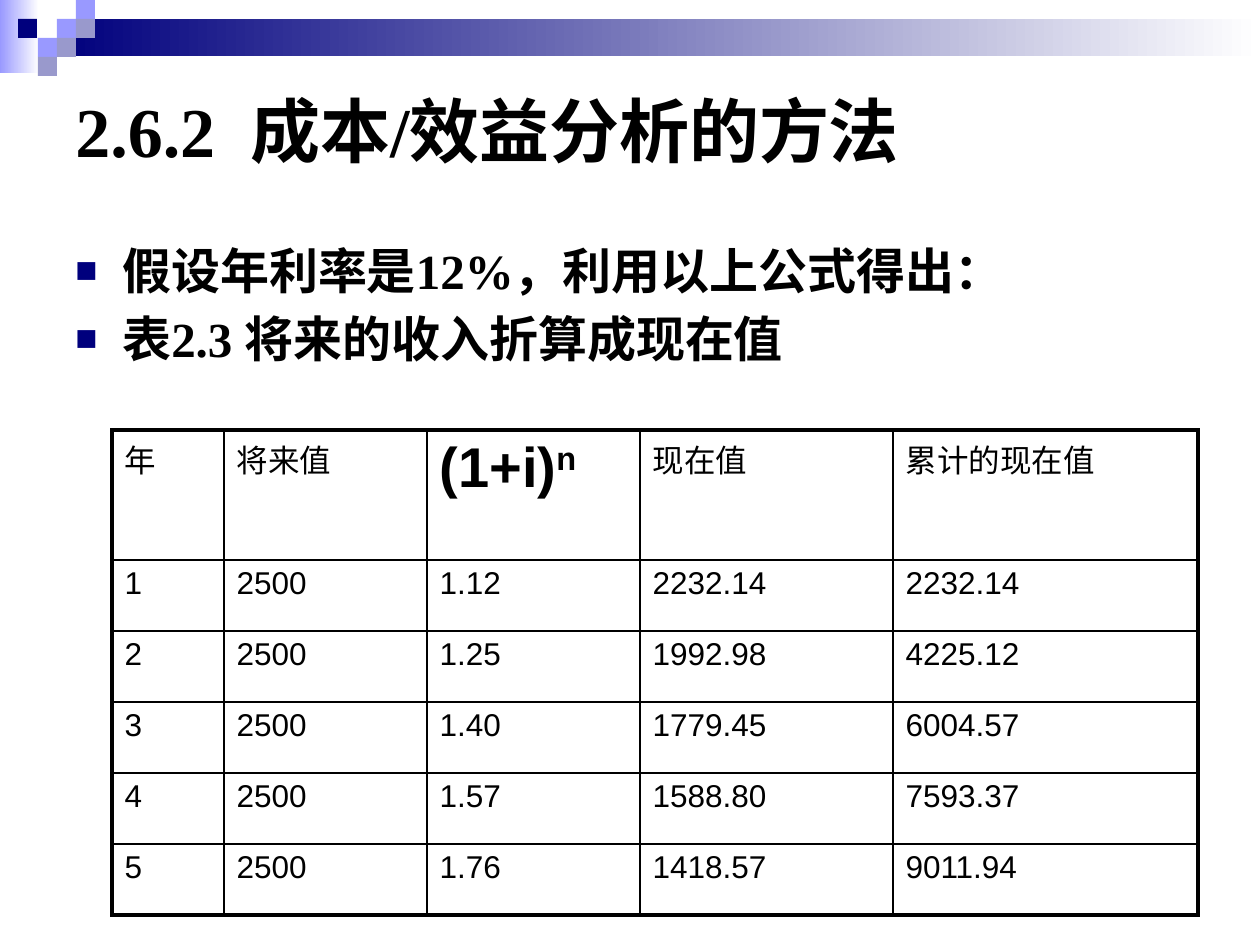
from lxml import etree
from pptx import Presentation
from pptx.dml.color import RGBColor
from pptx.enum.shapes import MSO_SHAPE
from pptx.enum.text import MSO_ANCHOR
from pptx.oxml.ns import qn
from pptx.util import Pt

RECT = MSO_SHAPE.RECTANGLE
MIDDLE = MSO_ANCHOR.MIDDLE
BLACK = RGBColor(0x00, 0x00, 0x00)
WHITE = RGBColor(0xFF, 0xFF, 0xFF)
NAVY = RGBColor(0x00, 0x00, 0x7D)
PERIWINKLE = RGBColor(0x99, 0x99, 0xFF)
GREY_BLUE = RGBColor(0x99, 0x99, 0xCC)
PX = 914400 / 126


def px(*lengths):
    """Turn px lengths into EMU."""
    return [round(n * PX) for n in lengths]


def add_text(p, text, font="Arial", size=18, bold=False, superscript=False):
    r = p.add_run()
    r.text = text
    r.font.name = font
    r.font.size = Pt(size)
    r.font.bold = bold
    r.font.color.rgb = BLACK
    if superscript:
        r._r.get_or_add_rPr().set("baseline", "30000")


prs = Presentation()
prs.slide_width, prs.slide_height = px(1260, 945)
s = prs.slides.add_slide(prs.slide_layouts[6])

# Header: two gradient bands, then small squares on a 19 px grid
bands = [((0, 0, 39, 73), PERIWINKLE), ((57, 19, 1203, 37), NAVY)]
squares = [
    (57, 19, PERIWINKLE), (76, 0, PERIWINKLE), (76, 19, GREY_BLUE),
    (38, 38, PERIWINKLE), (18, 19, NAVY), (57, 38, GREY_BLUE),
    (38, 57, GREY_BLUE),
]
for box, color in bands:
    sp = s.shapes.add_shape(RECT, *px(*box))
    sp.shadow.inherit = False
    sp.line.fill.background()
    sp.fill.gradient()
    sp.fill.gradient_angle = 0
    for stop, stop_color in zip(sp.fill.gradient_stops, (color, WHITE)):
        stop.color.rgb = stop_color
for x, y, color in squares:
    sp = s.shapes.add_shape(RECT, *px(x, y, 19, 19))
    sp.shadow.inherit = False
    sp.line.fill.background()
    sp.fill.solid()
    sp.fill.fore_color.rgb = color

# Title
tf = s.shapes.add_textbox(*px(63, 63, 1134, 132)).text_frame
tf.word_wrap = True
tf.vertical_anchor = MIDDLE
add_text(tf.paragraphs[0], "2.6.2  成本/效益分析的方法",
         font="Times New Roman", size=40, bold=True)

# Bullets
tf = s.shapes.add_textbox(*px(63, 234, 1113, 238)).text_frame
tf.word_wrap = True
bullets = ["假设年利率是12%，利用以上公式得出：", "表2.3 将来的收入折算成现在值"]
indent = px(47)[0]
for i, text in enumerate(bullets):
    p = tf.add_paragraph() if i else tf.paragraphs[0]
    p.space_before = Pt(5.6)
    add_text(p, text, font="Times New Roman", size=28, bold=True)
    pPr = p._p.get_or_add_pPr()
    pPr.set("marL", str(indent))
    pPr.set("indent", str(-indent))
    bu_color = etree.SubElement(pPr, qn("a:buClr"))
    etree.SubElement(bu_color, qn("a:srgbClr"), val=str(NAVY))
    etree.SubElement(pPr, qn("a:buSzPct"), val="75000")
    etree.SubElement(pPr, qn("a:buFont"), typeface="Arial")
    etree.SubElement(pPr, qn("a:buChar"), char="■")

# Present value table
rows = [
    ["年", "将来值", "(1+i)", "现在值", "累计的现在值"],
    ["1", "2500", "1.12", "2232.14", "2232.14"],
    ["2", "2500", "1.25", "1992.98", "4225.12"],
    ["3", "2500", "1.40", "1779.45", "6004.57"],
    ["4", "2500", "1.57", "1588.80", "7593.37"],
    ["5", "2500", "1.76", "1418.57", "9011.94"],
]
col_widths = px(112, 203, 213, 253, 305)
row_heights = px(130, 71, 71, 71, 71, 71)
last_row, last_col = len(rows) - 1, len(col_widths) - 1
table = s.shapes.add_table(len(rows), len(col_widths), *px(112, 430),
                           sum(col_widths), sum(row_heights)).table
table.first_row = False
table.horz_banding = False
for col, width in zip(table.columns, col_widths):
    col.width = width
for row, height in zip(table.rows, row_heights):
    row.height = height

for i, values in enumerate(rows):
    for j, text in enumerate(values):
        cell = table.cell(i, j)
        p = cell.text_frame.paragraphs[0]
        if (i, j) == (0, 2):
            add_text(p, text, size=32, bold=True)
            add_text(p, "n", size=32, bold=True, superscript=True)
        else:
            add_text(p, text)
        tcPr = cell._tc.get_or_add_tcPr()
        outer_edges = {"a:lnL": j == 0, "a:lnR": j == last_col,
                       "a:lnT": i == 0, "a:lnB": i == last_row}
        for tag, outer in outer_edges.items():
            width = Pt(2.25 if outer else 1)
            ln = etree.SubElement(tcPr, qn(tag), w=str(width))
            fill = etree.SubElement(ln, qn("a:solidFill"))
            etree.SubElement(fill, qn("a:srgbClr"), val=str(BLACK))
        cell.fill.background()

prs.save("out.pptx")
